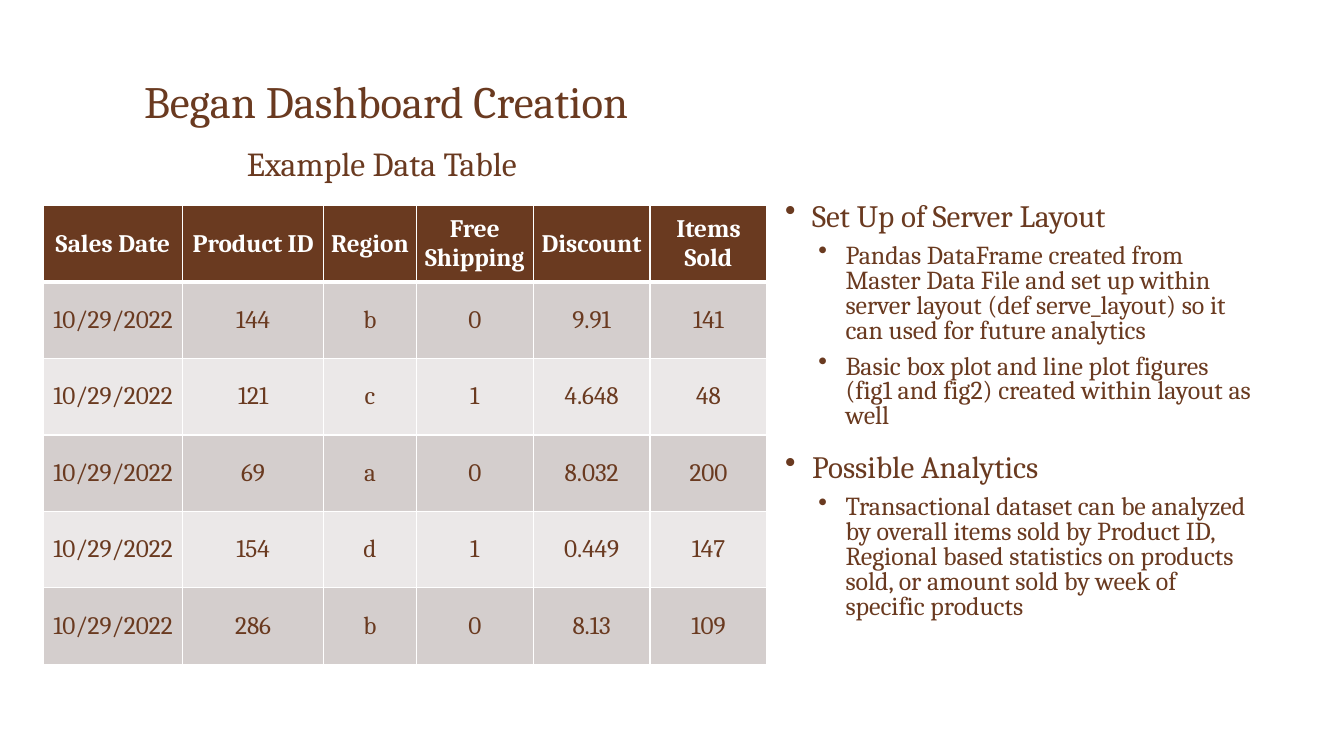
from lxml import etree
from pptx import Presentation
from pptx.dml.color import RGBColor
from pptx.enum import text as t
from pptx.oxml import ns
from pptx.util import Pt

BROWN = RGBColor(0x6A, 0x3A, 0x20)
WHITE = RGBColor(0xFF, 0xFF, 0xFF)
DARK = RGBColor(0xD4, 0xCE, 0xCD)
LIGHT = RGBColor(0xEB, 0xE8, 0xE8)

HEAD = ["Sales Date", "Product ID", "Region", "Free Shipping", "Discount", "Items Sold"]
DATE = "10/29/2022"
SALES = [
    [DATE, "144", "b", "0", "9.91", "141"],
    [DATE, "121", "c", "1", "4.648", "48"],
    [DATE, "69", "a", "0", "8.032", "200"],
    [DATE, "154", "d", "1", "0.449", "147"],
    [DATE, "286", "b", "0", "8.13", "109"],
]
WIDTHS = [99.4, 100.8, 66.2, 83.5, 83.5, 83.5]
NOTES = [
    (0, "Set Up of Server Layout"),
    (1, "Pandas DataFrame created from Master Data File and set up within "
        "server layout (def serve_layout) so it can used for future analytics"),
    (1, "Basic box plot and line plot figures (fig1 and fig2) created "
        "within layout as well"),
    (0, "Possible Analytics"),
    (1, "Transactional dataset can be analyzed by overall items sold by "
        "Product ID, Regional based statistics on products sold, or amount "
        "sold by week of specific products"),
]
# Size, space before and left indent of each bullet level
LEVELS = [(22.2, 18, 19.4), (18.5, 8, 43.2)]
HANG = 19.4


class Deck:
    def __init__(self, slide, face="Cambria"):
        self.slide = slide
        self.face = face

    def font(self, para, size, color=BROWN, bold=False):
        font = para.font
        font.name, font.size, font.bold = self.face, Pt(size), bold
        font.color.rgb = color

    def frame(self, box, anchor=t.MSO_ANCHOR.TOP):
        """Add a wrapping text box and return its text frame."""
        frame = self.slide.shapes.add_textbox(*map(Pt, box)).text_frame
        frame.word_wrap = True
        frame.vertical_anchor = anchor
        return frame

    def label(self, words, box, size, anchor=t.MSO_ANCHOR.TOP):
        para = self.frame(box, anchor).paragraphs[0]
        para.text = words
        para.line_spacing = 0.9
        self.font(para, size)

    def list(self, items, box):
        frame = self.frame(box)
        for i, (level, words) in enumerate(items):
            para = frame.add_paragraph() if i else frame.paragraphs[0]
            size, gap, left = LEVELS[level]
            para.text, para.level = words, level
            para.line_spacing, para.space_before = 0.8, Pt(gap)
            self.font(para, size)
            self.bullet(para, left)

    def bullet(self, para, left):
        props = para._p.get_or_add_pPr()
        props.set("marL", str(Pt(left)))
        props.set("indent", str(-Pt(HANG)))
        mark = etree.Element(ns.qn("a:buChar"), char="•")
        props.find(ns.qn("a:spcBef")).addnext(mark)

    def edges(self, cell, base):
        """Draw white cell borders, with the bottom one base points wide."""
        props = cell._tc.get_or_add_tcPr()
        for side, width in zip("LRTB", (1, 1, 1, base)):
            line = etree.SubElement(props, ns.qn(f"a:ln{side}"), w=str(Pt(width)))
            fill = etree.SubElement(line, ns.qn("a:solidFill"))
            etree.SubElement(fill, ns.qn("a:srgbClr"), val=str(WHITE))

    def cell(self, cell, words, fill, head):
        cell.margin_left = cell.margin_right = 0
        cell.margin_top = cell.margin_bottom = 0
        cell.vertical_anchor = t.MSO_ANCHOR.MIDDLE
        self.edges(cell, 3 if head else 1)
        cell.fill.solid()
        cell.fill.fore_color.rgb = fill
        para = cell.text_frame.paragraphs[0]
        para.text = words
        para.alignment = t.PP_ALIGN.CENTER
        self.font(para, 18, WHITE if head else BROWN, head)

    def table(self, rows, widths, left, top, height):
        shape = self.slide.shapes.add_table(
            len(rows), len(widths), Pt(left), Pt(top),
            Pt(sum(widths)), Pt(height * len(rows)))
        grid = shape.table
        for col, width in zip(grid.columns, widths):
            col.width = Pt(width)
        for r, row in enumerate(rows):
            grid.rows[r].height = Pt(height)
            fill = (DARK if r % 2 else LIGHT) if r else BROWN
            for c, words in enumerate(row):
                self.cell(grid.cell(r, c), words, fill, r == 0)


def main():
    prs = Presentation()
    prs.slide_width, prs.slide_height = Pt(960), Pt(540)
    deck = Deck(prs.slides.add_slide(prs.slide_layouts[6]))
    deck.label("Began Dashboard Creation", (95.8, 2.9, 767.5, 92.2), 32,
               t.MSO_ANCHOR.BOTTOM)
    deck.list(NOTES, (553.7, 141.8, 350.6, 336.2))
    deck.table([HEAD] + SALES, WIDTHS, 31, 146.9, 54.6)
    deck.label("Example Data Table", (169.2, 101.5, 350.6, 336.2), 24)
    prs.save("out.pptx")


if __name__ == "__main__":
    main()
